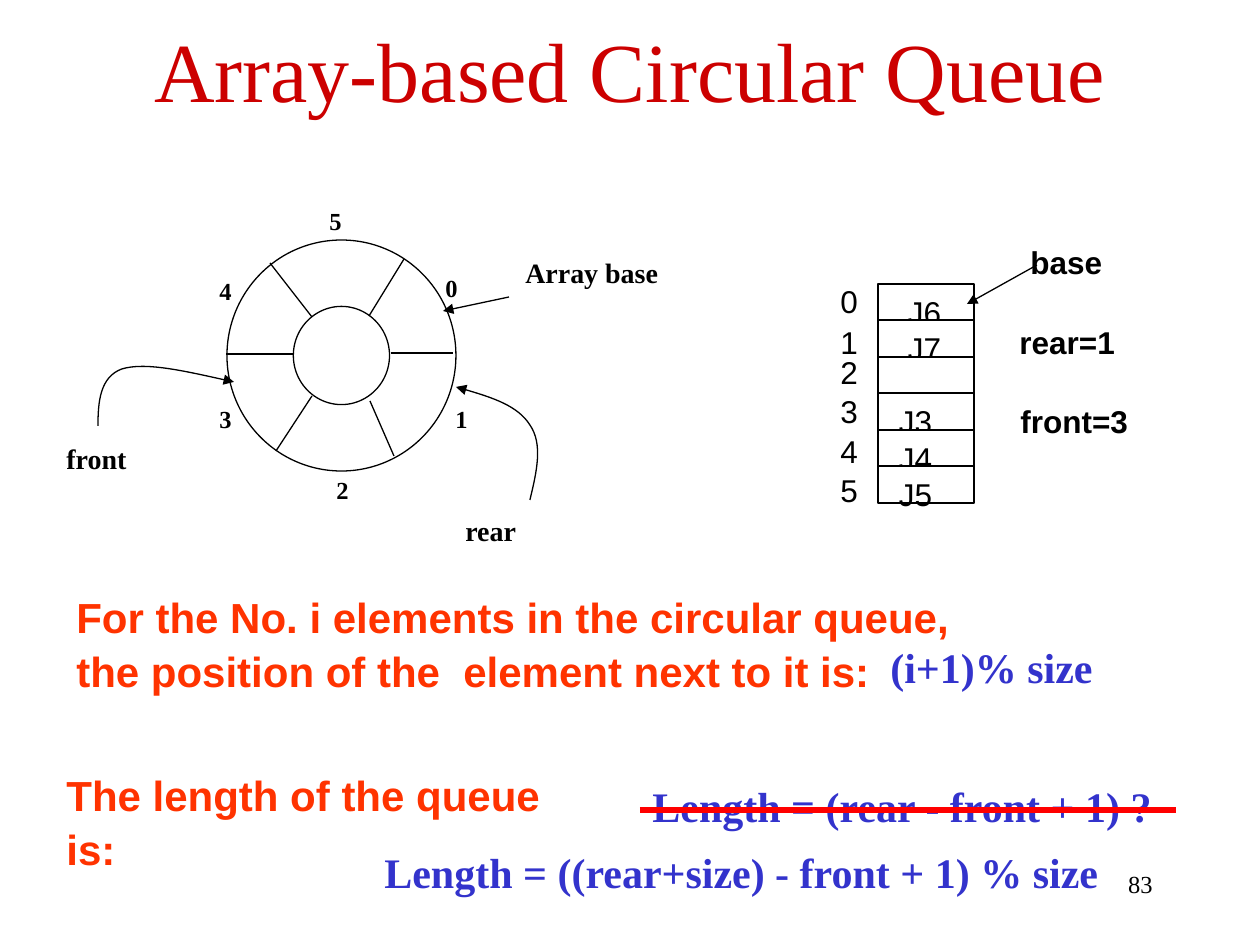
from typing import NamedTuple

from lxml import etree
from pptx import Presentation
from pptx.dml.color import RGBColor
from pptx.enum.shapes import MSO_CONNECTOR, MSO_SHAPE
from pptx.enum.text import MSO_ANCHOR, PP_ALIGN
from pptx.oxml.ns import qn
from pptx.util import Emu, Pt

PX = 914400 / 126
RECT, DONUT = MSO_SHAPE.RECTANGLE, MSO_SHAPE.DONUT
STRAIGHT = MSO_CONNECTOR.STRAIGHT
TOP, MIDDLE = MSO_ANCHOR.TOP, MSO_ANCHOR.MIDDLE
LEFT, CENTER, RIGHT = PP_ALIGN.LEFT, PP_ALIGN.CENTER, PP_ALIGN.RIGHT
SERIF, SANS = "Times New Roman", "Arial"
COLORS = {"black": "000000", "white": "FFFFFF", "title": "CC0000",
          "statement": "FF3300", "formula": "3333CC", "strike": "FF0000"}


class Label(NamedTuple):
    text: str
    x: int
    y: int
    w: int
    h: int
    size: int
    font: str = SERIF
    color: str = "black"
    bold: bool = True
    align: PP_ALIGN = LEFT
    anchor: MSO_ANCHOR = TOP
    spacing: float = 1.07


class Line(NamedTuple):
    x1: int
    y1: int
    x2: int
    y2: int
    color: str = "black"
    width: float = 0.75
    arrow: bool = False


class Cell(NamedTuple):
    text: str
    inset: int


def px(length: float) -> Emu:
    return Emu(round(length * PX))


def rgb(name: str) -> RGBColor:
    return RGBColor.from_string(COLORS[name])


def format_text(frame, label: Label) -> None:
    frame.text = label.text
    frame.word_wrap = True
    frame.vertical_anchor = label.anchor
    for paragraph in frame.paragraphs:
        paragraph.alignment = label.align
        paragraph.line_spacing = label.spacing
        for run in paragraph.runs:
            run.font.name = label.font
            run.font.size = Pt(label.size)
            run.font.bold = label.bold
            run.font.color.rgb = rgb(label.color)


def add_label(shapes, label: Label) -> None:
    box = shapes.add_textbox(px(label.x), px(label.y), px(label.w), px(label.h))
    format_text(box.text_frame, label)


def set_outline(shape, color: str = "black", width: float = 0.75) -> None:
    shape.line.color.rgb = rgb(color)
    shape.line.width = Pt(width)


def add_arrowhead(shape) -> None:
    outline = shape.element.spPr.find(qn("a:ln"))
    etree.SubElement(outline, qn("a:tailEnd"), type="triangle")


def add_line(shapes, line: Line) -> None:
    connector = shapes.add_connector(STRAIGHT, px(line.x1), px(line.y1),
                                     px(line.x2), px(line.y2))
    set_outline(connector, line.color, line.width)
    if line.arrow:
        add_arrowhead(connector)
    etree.SubElement(connector.element.spPr, qn("a:effectLst"))


def add_curved_arrow(shapes, points: list[tuple[int, int]]) -> None:
    """Draw a start point followed by triples of cubic Bezier points."""
    builder = shapes.build_freeform(*points[0], scale=PX)
    builder.add_line_segments(points[1:], close=False)
    arrow = builder.convert_to_shape()
    outline = arrow.element.spPr.find(f".//{qn('a:path')}")
    segments = outline.findall(qn("a:lnTo"))
    for start in range(0, len(segments), 3):
        curve = etree.SubElement(outline, qn("a:cubicBezTo"))
        for segment in segments[start:start + 3]:
            curve.append(segment[0])
            outline.remove(segment)
    arrow.fill.background()
    arrow.shadow.inherit = False
    set_outline(arrow)
    add_arrowhead(arrow)


def add_solid(shapes, kind: MSO_SHAPE, x: int, y: int, w: int, h: int):
    shape = shapes.add_shape(kind, px(x), px(y), px(w), px(h))
    shape.fill.solid()
    shape.fill.fore_color.rgb = rgb("white")
    shape.shadow.inherit = False
    set_outline(shape)
    return shape


def add_cells(shapes, cells: list[Cell]) -> None:
    group = shapes.add_group_shape()
    for index, cell in enumerate(cells):
        x, y, w, h = 878, 284 + index * 73 // 2, 96, 37
        box = add_solid(group.shapes, RECT, x, y, w, h)
        if cell.text:
            format_text(box.text_frame,
                        Label(cell.text, x, y, w, h, 18, SANS, bold=False))
            box.text_frame.margin_left = px(cell.inset)


SPOKES = [
    Line(391, 353, 453, 353), Line(293, 354, 226, 354),
    Line(404, 259, 369, 316), Line(312, 396, 276, 451),
    Line(370, 401, 394, 456), Line(312, 317, 270, 263),
]
REAR_CURVE = [(530, 500), (537, 471), (543, 444), (530, 425),
              (518, 406), (488, 396), (456, 387)]
FRONT_CURVE = [(98, 426), (98, 402), (100, 377), (122, 369),
               (145, 362), (189, 372), (234, 382)]
POINTERS = [Line(509, 297, 443, 311, arrow=True),
            Line(1037, 265, 967, 304, arrow=True)]
RING_INDEXES = [("0", 433, 265), ("1", 443, 396), ("2", 324, 467),
                ("3", 207, 396), ("4", 207, 268), ("5", 317, 198)]
RING_NAMES = [("rear", 453, 505), ("front", 54, 433), ("Array base", 513, 247)]
CELLS = [Cell("J6", 30), Cell("J7", 30), Cell("", 0),
         Cell("J3", 21), Cell("J4", 21), Cell("J5", 21)]
CELL_INDEX_TOPS = [273, 314, 344, 383, 423, 462]
ARRAY_NAMES = [("front=3", 1008, 393), ("rear=1", 1007, 314), ("base", 1018, 234)]
STATEMENTS = [
    Label("For the No. i elements in the circular queue,\n"
          "the position of the  element next to it is:",
          64, 582, 930, 164, 24, SANS, "statement"),
    Label("The length of the queue is:", 54, 760, 535, 110, 24, SANS, "statement"),
]
FORMULAS = [("(i+1)% size", 878, 632, 250),
            ("Length = ((rear+size) - front + 1) % size", 372, 837, 770),
            ("Length = (rear - front + 1) ?", 640, 771, 560)]


def main() -> None:
    deck = Presentation()
    deck.slide_width, deck.slide_height = px(1260), px(945)
    shapes = deck.slides.add_slide(deck.slide_layouts[6]).shapes

    # Title
    add_label(shapes, Label("Array-based Circular Queue", 63, 6, 1134, 126, 48,
                            color="title", bold=False, align=CENTER,
                            anchor=MIDDLE, spacing=1.0))

    # Circular queue
    ring = add_solid(shapes, DONUT, 227, 240, 229, 231)
    ring.adjustments[0] = 0.29
    for spoke in SPOKES:
        add_line(shapes, spoke)
    for curve in (REAR_CURVE, FRONT_CURVE):
        add_curved_arrow(shapes, curve)
    for text, x, y in RING_INDEXES:
        add_label(shapes, Label(text, x, y, 50, 42, 14))
    for text, x, y in RING_NAMES:
        add_label(shapes, Label(text, x, y, 180, 47, 16))

    # Underlying array
    add_cells(shapes, CELLS)
    for index, top in enumerate(CELL_INDEX_TOPS):
        add_label(shapes, Label(str(index), 828, top, 48, 50, 18, SANS, bold=False))
    for text, x, y in ARRAY_NAMES:
        add_label(shapes, Label(text, x, y, 158, 50, 18, SANS))
    for pointer in POINTERS:
        add_line(shapes, pointer)

    # Statements and formulas
    for statement in STATEMENTS:
        add_label(shapes, statement)
    for text, x, y, width in FORMULAS:
        add_label(shapes, Label(text, x, y, width, 63, 24, color="formula"))
    add_line(shapes, Line(640, 810, 1176, 810, "strike", 3))

    # Page number
    add_label(shapes, Label("83", 903, 861, 262, 63, 14, bold=False, align=RIGHT))

    deck.save("out.pptx")


if __name__ == "__main__":
    main()
